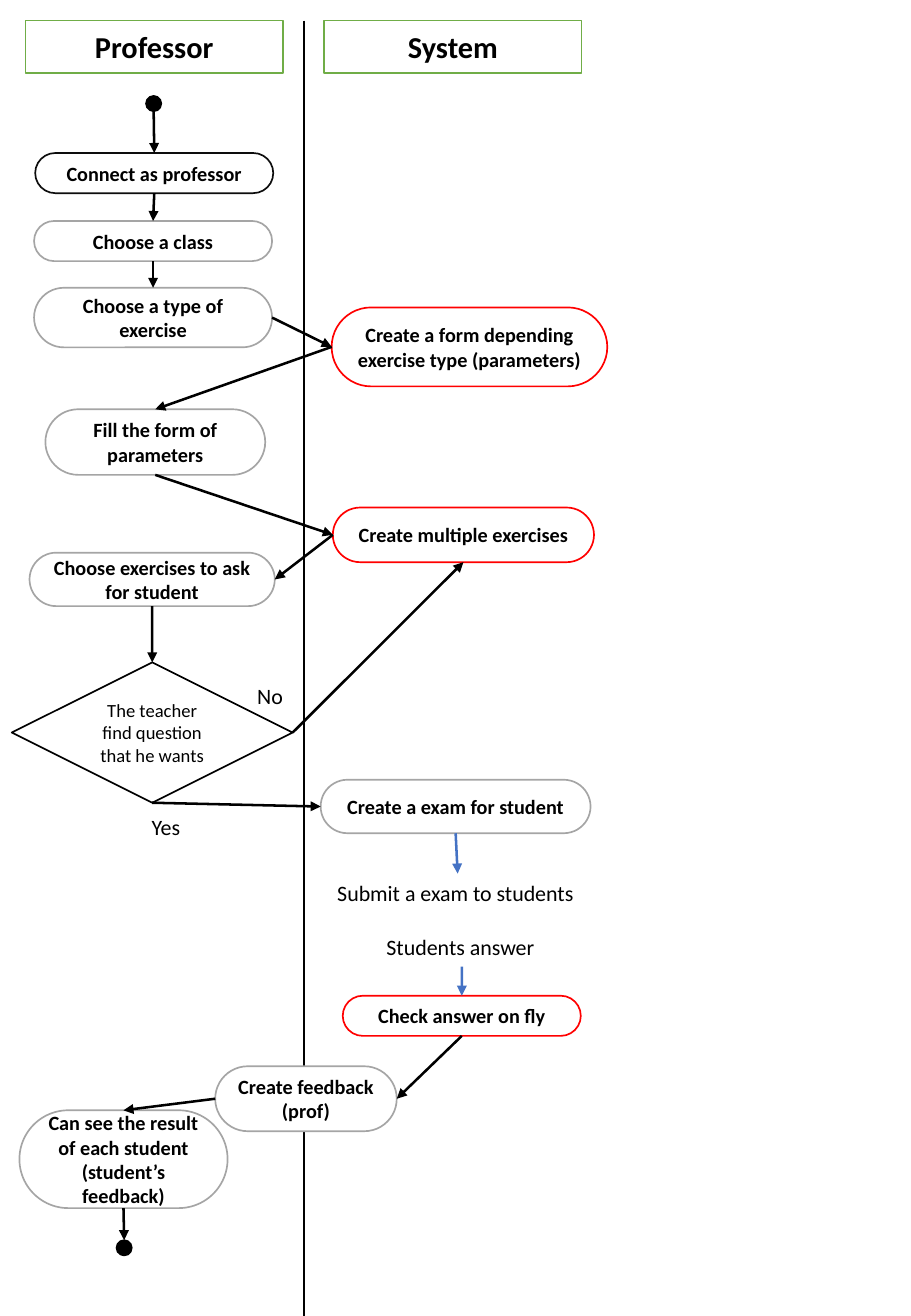
import pptx
import pptx.util
import pptx.dml.color
import pptx.enum.shapes
import pptx.enum.text
import pptx.oxml.ns
import lxml.etree

Pt = pptx.util.Pt
Kind = pptx.enum.shapes.MSO_SHAPE
Line = pptx.enum.shapes.MSO_CONNECTOR
Align = pptx.enum.text.PP_ALIGN
Anchor = pptx.enum.text.MSO_ANCHOR
Fit = pptx.enum.text.MSO_AUTO_SIZE

COLORS = {"black": "000000", "white": "FFFFFF", "green": "70AD47", "dark": "0D0D0D",
          "gray": "A5A5A5", "red": "FF0000", "blue": "4472C4"}
FONT = "Calibri"
PAGE = (540, 780)
LANE_X, LANE_TOP = 180, 12.2
HEADS = [("Professor", 15.1), ("System", 192.2)]
HEAD_SIZE = (152.6, 31)
DOT = 9
DOTS = {"start": (86.6, 56.9), "end": (69.1, 735.1)}

STEPS = {
    "login": ("Connect as professor", "dark", 20.9, 90.7, 141.1, 23.8),
    "class": ("Choose a class", "gray", 20.2, 131, 141.1, 23.8),
    "type": ("Choose a type of exercise", "gray", 20.2, 170.6, 141.1, 35.3),
    "form": ("Create a form depending exercise type (parameters)", "red", 196.6, 182.2, 163.4, 46.8),
    "fill": ("Fill the form of parameters", "gray", 26.9, 242.6, 130.3, 38.9),
    "make": ("Create multiple exercises", "red", 197.3, 300.8, 154.8, 32.4),
    "ask": ("Choose exercises to ask for student", "gray", 17.5, 327.6, 145.4, 31.7),
    "exam": ("Create a exam for student", "gray", 190.1, 462.2, 160, 31.7),
    "check": ("Check answer on fly", "red", 203.2, 590.2, 141.1, 23.8),
    "result": ("Can see the result of each student (student’s feedback)", "gray", 11.5, 658.1, 123.4, 58),
    "feed": ("Create feedback (prof)", "gray", 127.6, 632, 107.6, 38.5),
}
CHOICE = ("The teacher find question that he wants", "black", 7, 392.6, 166.5, 83.2)

NOTES = {
    "yes": ("Yes", 82.8, 478.8, 31.7),
    "no": ("No", 145.4, 401, 36),
    "submit": ("Submit a exam to students", 192.8, 517.8, 157),
    "answer": ("Students answer", 222, 550, 103.7),
}
NOTE_H = 23

TOP, LEFT, BOTTOM, RIGHT = range(4)
ARROWS = [
    ("login", BOTTOM, "class", TOP, "black"),
    ("class", BOTTOM, "type", TOP, "black"),
    ("type", RIGHT, "form", LEFT, "black"),
    ("form", LEFT, "fill", TOP, "black"),
    ("fill", BOTTOM, "make", LEFT, "black"),
    ("make", LEFT, "ask", RIGHT, "black"),
    ("ask", BOTTOM, "choice", TOP, "black"),
    ("choice", RIGHT, "make", BOTTOM, "black"),
    ("choice", BOTTOM, "exam", LEFT, "black"),
    ("exam", BOTTOM, "submit", TOP, "blue"),
    ("answer", BOTTOM, "check", TOP, "blue"),
    ("check", BOTTOM, "feed", RIGHT, "black"),
    ("feed", LEFT, "result", TOP, "black"),
    ("result", BOTTOM, "end", TOP, "black"),
]


def color(name):
    return pptx.dml.color.RGBColor.from_string(COLORS[name])


def write(frame, text, size, bold=False, align=Align.LEFT):
    par = frame.paragraphs[0]
    par.text = text
    par.alignment = align
    par.font.name = FONT
    par.font.size = Pt(size)
    par.font.bold = bold
    par.font.color.rgb = color("black")


def add_box(slide, kind, area, fill, edge, text="", size=12, bold=True):
    box = slide.shapes.add_shape(kind, *map(Pt, area))
    box.shadow.inherit = False
    box.fill.solid()
    box.fill.fore_color.rgb = color(fill)
    box.line.color.rgb = color(edge)
    box.line.width = Pt(1)
    if text:
        box.text_frame.word_wrap = True
        box.text_frame.vertical_anchor = Anchor.MIDDLE
        write(box.text_frame, text, size, bold, Align.CENTER)
    return box


def add_note(slide, key, text, x, y, width):
    box = slide.shapes.add_textbox(*map(Pt, (x, y, width, NOTE_H)))
    box.text_frame.word_wrap = key == "no"
    box.text_frame.auto_size = Fit.SHAPE_TO_FIT_TEXT
    write(box.text_frame, text, 13)
    return box


def add_line(slide, ends, name, width, arrow=True):
    line = slide.shapes.add_connector(Line.STRAIGHT, *ends)
    line.line.color.rgb = color(name)
    line.line.width = Pt(width)
    qn = pptx.oxml.ns.qn
    if arrow:
        lxml.etree.SubElement(line.line._get_or_add_ln(), qn("a:tailEnd"), type="triangle")
    lxml.etree.SubElement(line._element.spPr, qn("a:effectLst"))
    return line


def main():
    deck = pptx.Presentation()
    deck.slide_width, deck.slide_height = map(Pt, PAGE)
    slide = deck.slides.add_slide(deck.slide_layouts[6])

    add_line(slide, map(Pt, (LANE_X, LANE_TOP, LANE_X, PAGE[1])), "black", 1, False)
    for text, x in HEADS:
        add_box(slide, Kind.RECTANGLE, (x, LANE_TOP, *HEAD_SIZE), "white", "green", text, 18)

    nodes = {}
    for key, (x, y) in DOTS.items():
        nodes[key] = add_box(slide, Kind.OVAL, (x, y, DOT, DOT), "black", "black")
    for key, (text, edge, *area) in STEPS.items():
        nodes[key] = add_box(slide, Kind.ROUNDED_RECTANGLE, area, "white", edge, text)
        nodes[key].adjustments[0] = 0.5
    text, edge, *area = CHOICE
    nodes["choice"] = add_box(slide, Kind.FLOWCHART_DECISION, area, "white", edge, text, 11, False)
    for key, note in NOTES.items():
        nodes[key] = add_note(slide, key, *note)

    x, y = DOTS["start"]
    first = add_line(slide, map(Pt, (x + DOT / 2, y + DOT, 0, 0)), "black", 1.5)
    first.end_connect(nodes["login"], TOP)
    for start, side, end, goal, name in ARROWS:
        arrow = add_line(slide, (0, 0, 0, 0), name, 1.5)
        arrow.begin_connect(nodes[start], side)
        arrow.end_connect(nodes[end], goal)

    deck.save("out.pptx")


if __name__ == "__main__":
    main()
